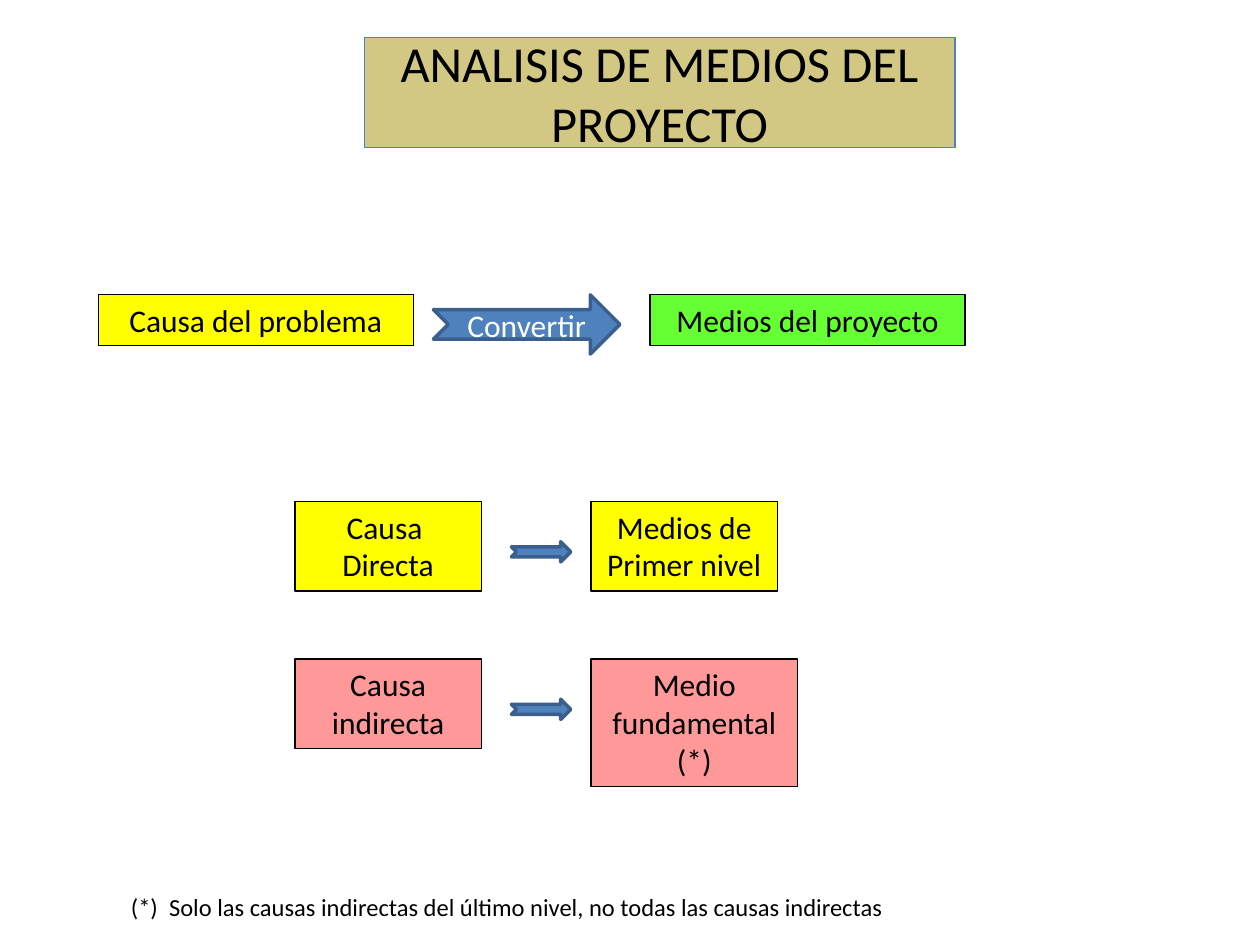
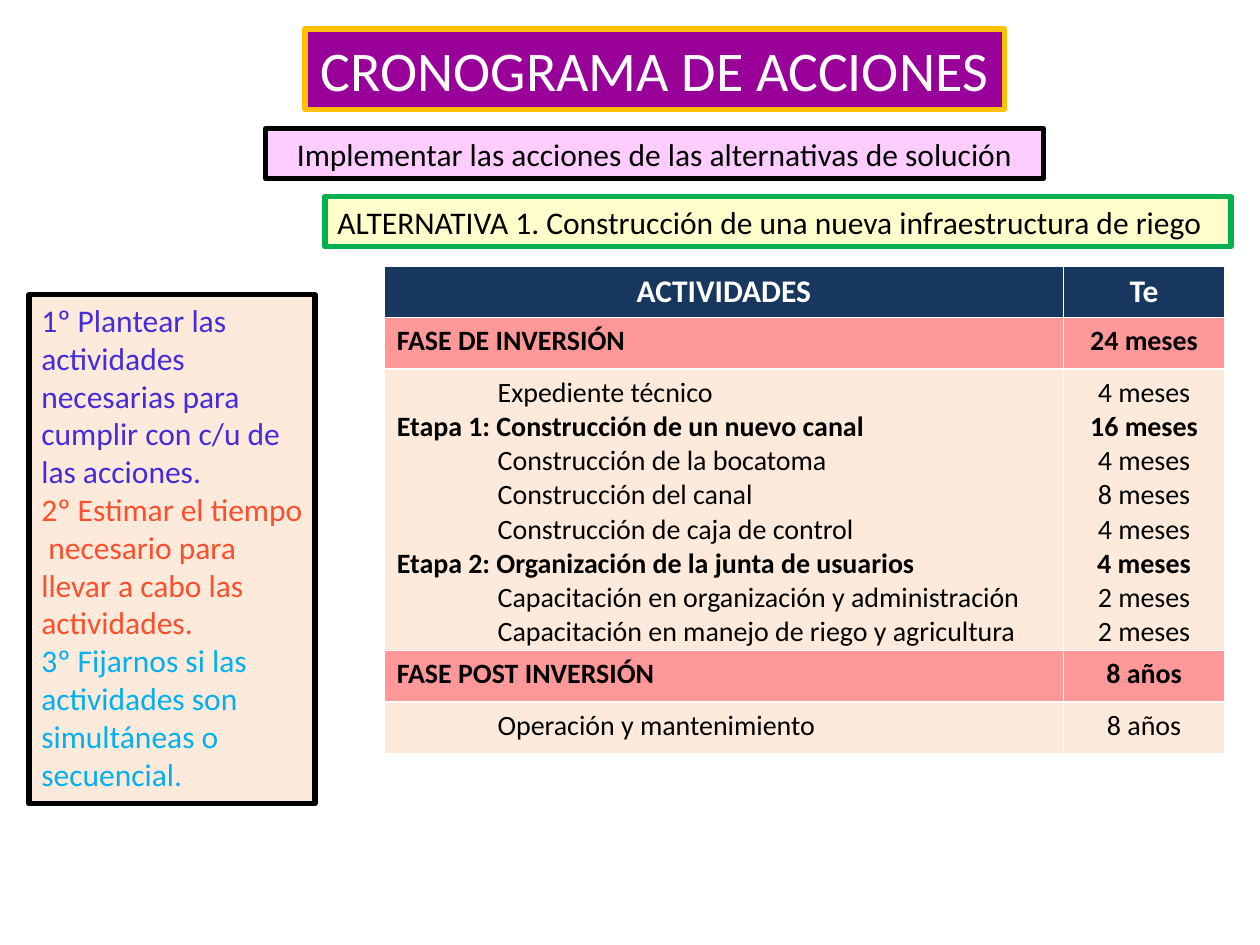
from pptx import Presentation
from pptx.dml.color import RGBColor
from pptx.enum.shapes import MSO_SHAPE as Shape
from pptx.enum.text import MSO_ANCHOR as Anchor, MSO_AUTO_SIZE as AutoSize, PP_ALIGN as Align
from pptx.util import Inches, Pt

FONT = "Calibri"
COLORS = {
    "black": "000000", "white": "FFFFFF", "khaki": "D3C883", "blue": "4F81BD",
    "steel": "3A5F8C", "yellow": "FFFF00", "lime": "66FF33", "pink": "FF9999",
    "purple": "990099", "gold": "FFC000", "lilac": "FFCCFF", "peach": "FDEADA",
    "cream": "FFFFCC", "green": "00B050", "navy": "17375E", "indigo": "452CDA",
    "orange": "FB4F2D", "sky": "00B0F0",
}


def write(frame, lines, size, color="black", align=Align.CENTER, bold=False):
    frame.text = "\n".join(lines)
    for paragraph in frame.paragraphs:
        paragraph.alignment = align
        for run in paragraph.runs:
            run.font.name = FONT
            run.font.size = Pt(size)
            run.font.bold = bold
            run.font.color.rgb = RGBColor.from_string(COLORS[color])


def add_box(slide, place, lines, fill, line, width=0.75, size=18, color="black",
            align=Align.CENTER, kind=Shape.RECTANGLE, anchor=Anchor.TOP):
    box = slide.shapes.add_shape(kind, *map(Inches, place))
    box.shadow.inherit = False
    box.fill.solid()
    box.fill.fore_color.rgb = RGBColor.from_string(COLORS[fill])
    box.line.color.rgb = RGBColor.from_string(COLORS[line])
    box.line.width = Pt(width)
    frame = box.text_frame
    frame.word_wrap = True
    frame.vertical_anchor = anchor
    if anchor == Anchor.TOP:
        frame.auto_size = AutoSize.SHAPE_TO_FIT_TEXT
    if lines:
        write(frame, lines, size, color, align)
    return box


deck = Presentation()
deck.slide_width, deck.slide_height = Inches(10), Inches(7.5)
blank = deck.slide_layouts[6]

means = deck.slides.add_slide(blank)
add_box(means, (2.89, 0.3, 4.69, 0.87), ["ANALISIS DE MEDIOS DEL PROYECTO"],
        "khaki", "blue", size=28.8, anchor=Anchor.MIDDLE)

for place, lines, fill in [
    ((0.78, 2.34, 2.5, 0.4), ["Causa del problema"], "yellow"),
    ((5.16, 2.34, 2.5, 0.4), ["Medios del proyecto"], "lime"),
    ((2.34, 3.98, 1.48, 0.71), ["Causa ", "Directa"], "yellow"),
    ((4.69, 3.98, 1.48, 0.71), ["Medios de Primer nivel"], "yellow"),
    ((2.34, 5.23, 1.48, 0.71), ["Causa indirecta"], "pink"),
    ((4.69, 5.23, 1.64, 1.01), ["Medio fundamental (*)"], "pink"),
]:
    add_box(means, place, lines, fill, "black")

for place, lines in [
    ((3.44, 2.34, 1.48, 0.47), ["Convertir"]),
    ((4.06, 4.3, 0.47, 0.16), []),
    ((4.06, 5.55, 0.47, 0.16), []),
]:
    add_box(means, place, lines, "blue", "steel", 2, color="white",
            kind=Shape.NOTCHED_RIGHT_ARROW, anchor=Anchor.MIDDLE)

footnote = means.shapes.add_textbox(Inches(0.94), Inches(7.03), Inches(6.41), Inches(0.34))
footnote.text_frame.word_wrap = True
write(footnote.text_frame,
      ["(*)  Solo las causas indirectas del último nivel, no todas las causas indirectas"],
      14, align=Align.LEFT)

schedule = deck.slides.add_slide(blank)
add_box(schedule, (2.42, 0.23, 5.55, 0.64), ["CRONOGRAMA DE ACCIONES"],
        "purple", "gold", 3, 32, "white")
add_box(schedule, (2.11, 1.02, 6.17, 0.4),
        ["Implementar las acciones de las alternativas de solución"], "lilac", "black", 3)
steps = add_box(schedule, (0.23, 2.34, 2.27, 4.04), [
    "1º Plantear las actividades necesarias para cumplir con c/u de las acciones.",
    "2º Estimar el tiempo  necesario para llevar a cabo las actividades.",
    "3º Fijarnos si las actividades son simultáneas o secuencial.",
], "peach", "black", 3, align=Align.LEFT)
for step, color in zip(steps.text_frame.paragraphs, ["indigo", "orange", "sky"]):
    step.runs[0].font.color.rgb = RGBColor.from_string(COLORS[color])
add_box(schedule, (2.58, 1.56, 7.19, 0.4),
        ["ALTERNATIVA 1. Construcción de una nueva infraestructura de riego"],
        "cream", "green", 3, align=Align.LEFT)

phases = [
    ("navy", [("ACTIVIDADES", "Te")]),
    ("pink", [("FASE DE INVERSIÓN", "24 meses")]),
    ("peach", [
        ("Expediente técnico", "4 meses"),
        ("Etapa 1: Construcción de un nuevo canal", "16 meses"),
        ("Construcción de la bocatoma", "4 meses"),
        ("Construcción del canal", "8 meses"),
        ("Construcción de caja de control", "4 meses"),
        ("Etapa 2: Organización de la junta de usuarios", "4 meses"),
        ("Capacitación en organización y administración", "2 meses"),
        ("Capacitación en manejo de riego y agricultura", "2 meses"),
    ]),
    ("pink", [("FASE POST INVERSIÓN", "8 años")]),
    ("peach", [("Operación y mantenimiento", "8 años")]),
]
timetable = schedule.shapes.add_table(
    len(phases), 2, Inches(3.05), Inches(2.11), Inches(6.67), Inches(3.86)).table
timetable.horz_banding = False
for column, width in zip(timetable.columns, [5.39, 1.28]):
    column.width = Inches(width)

for index, (fill, activities) in enumerate(phases):
    timetable.rows[index].height = Inches(0.41 if len(activities) == 1 else 2.22)
    header = fill == "navy"
    for cell, lines in zip(timetable.rows[index].cells, zip(*activities)):
        cell.fill.solid()
        cell.fill.fore_color.rgb = RGBColor.from_string(COLORS[fill])
        write(cell.text_frame, lines, 18 if header else 16,
              "white" if header else "black", Align.CENTER, fill != "peach")
    if header:
        continue
    name_cell, time_cell = timetable.rows[index].cells
    for name, time in zip(name_cell.text_frame.paragraphs, time_cell.text_frame.paragraphs):
        name.alignment = Align.LEFT
        if name.text.startswith("Etapa"):
            name.runs[0].font.bold = time.runs[0].font.bold = True
        elif fill == "peach":
            name._p.get_or_add_pPr().set("marL", str(Inches(0.8)))

deck.save("out.pptx")
